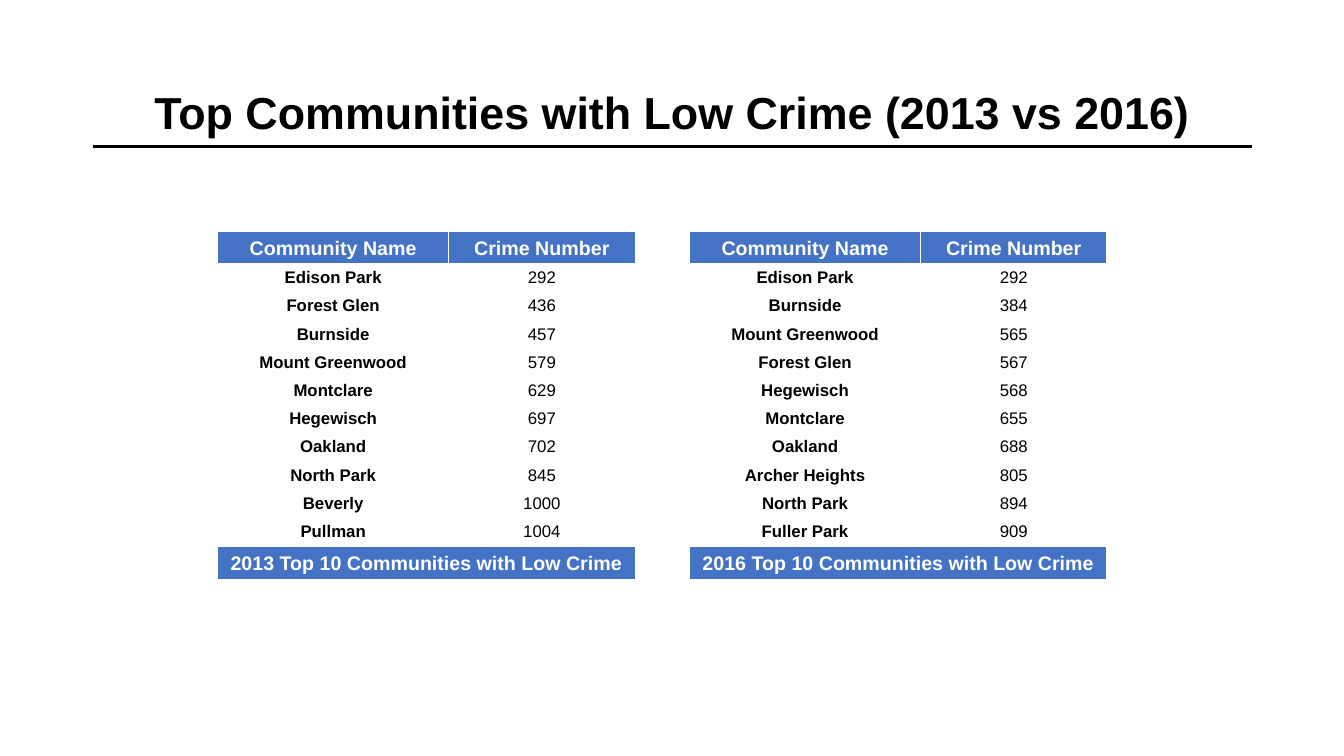
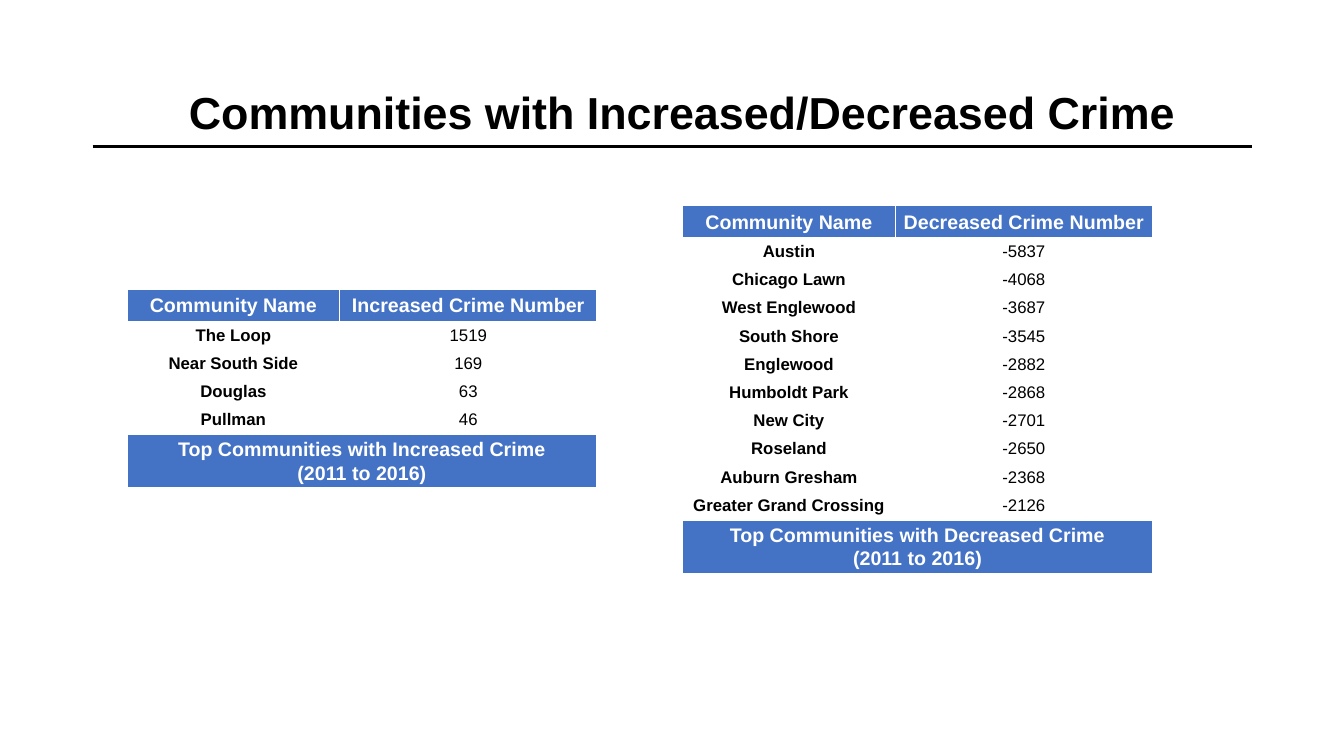
from lxml import etree
from pptx import Presentation
from pptx.dml.color import RGBColor
from pptx.enum.shapes import MSO_CONNECTOR
from pptx.enum.text import MSO_ANCHOR, PP_ALIGN
from pptx.oxml.ns import qn
from pptx.util import Inches, Pt

COLORS = {"header": "4472C4", "white": "FFFFFF", "black": "000000"}
FONT = "Arial"
HEADER_HEIGHT, ROW_HEIGHT = 0.32, 0.28
FOOTER_HEIGHTS = {1: 0.33, 2: 0.51}  # by number of lines
CELL_MARGIN = Inches(0.03)
RULE_LEFT, RULE_RIGHT, RULE_TOP = 0.92, 12.42, 1.45

SLIDES = [
    {
        "title": "Top Communities with Low Crime (2013 vs 2016)",
        "title_left": 0.92,
        "columns": (2.29, 1.85),
        "tables": [
            {
                "left": 2.16, "top": 2.3, "measure": "Crime Number",
                "footer": "2013 Top 10 Communities with Low Crime",
                "rows": [
                    ("Edison Park", 292), ("Forest Glen", 436), ("Burnside", 457),
                    ("Mount Greenwood", 579), ("Montclare", 629), ("Hegewisch", 697),
                    ("Oakland", 702), ("North Park", 845), ("Beverly", 1000),
                    ("Pullman", 1004),
                ],
            },
            {
                "left": 6.84, "top": 2.3, "measure": "Crime Number",
                "footer": "2016 Top 10 Communities with Low Crime",
                "rows": [
                    ("Edison Park", 292), ("Burnside", 384), ("Mount Greenwood", 565),
                    ("Forest Glen", 567), ("Hegewisch", 568), ("Montclare", 655),
                    ("Oakland", 688), ("Archer Heights", 805), ("North Park", 894),
                    ("Fuller Park", 909),
                ],
            },
        ],
    },
    {
        "title": "Communities with Increased/Decreased Crime",
        "title_left": 1.02,
        "columns": (2.11, 2.55),
        "tables": [
            {
                "left": 1.26, "top": 2.87, "measure": "Increased Crime Number",
                "footer": "Top Communities with Increased Crime\n(2011 to 2016)",
                "rows": [
                    ("The Loop", 1519), ("Near South Side", 169), ("Douglas", 63),
                    ("Pullman", 46),
                ],
            },
            {
                "left": 6.77, "top": 2.04, "measure": "Decreased Crime Number",
                "footer": "Top Communities with Decreased Crime\n(2011 to 2016)",
                "rows": [
                    ("Austin", -5837), ("Chicago Lawn", -4068),
                    ("West Englewood", -3687), ("South Shore", -3545),
                    ("Englewood", -2882), ("Humboldt Park", -2868),
                    ("New City", -2701), ("Roseland", -2650),
                    ("Auburn Gresham", -2368), ("Greater Grand Crossing", -2126),
                ],
            },
        ],
    },
]


def write_text(frame, text, *, size, color="black", bold=True, spacing=1.07):
    """Fill a text frame with centred text, one paragraph per line."""
    frame.text = text
    for para in frame.paragraphs:
        para.alignment = PP_ALIGN.CENTER
        para.line_spacing = spacing
        for span in para.runs:
            span.font.name = FONT
            span.font.size = Pt(size)
            span.font.bold = bold
            span.font.color.rgb = RGBColor.from_string(COLORS[color])


def style_cell(cell, fill, anchor):
    """Set margins, anchor, thin white borders and fill of a table cell."""
    cell.margin_left = cell.margin_right = CELL_MARGIN
    cell.margin_top = cell.margin_bottom = CELL_MARGIN
    cell.vertical_anchor = anchor
    properties = cell._tc.get_or_add_tcPr()
    for side in ("a:lnL", "a:lnR", "a:lnT", "a:lnB"):
        border = etree.SubElement(properties, qn(side), w=str(Pt(1)))
        solid = etree.SubElement(border, qn("a:solidFill"))
        etree.SubElement(solid, qn("a:srgbClr"), val=COLORS["white"])
    cell.fill.solid()
    cell.fill.fore_color.rgb = RGBColor.from_string(COLORS[fill])


deck = Presentation()
deck.slide_width, deck.slide_height = Inches(13.33), Inches(7.5)
blank_layout = deck.slide_layouts[6]

for content in SLIDES:
    page = deck.slides.add_slide(blank_layout)

    for data in content["tables"]:
        body, footer = data["rows"], data["footer"]
        footer_height = FOOTER_HEIGHTS[len(footer.splitlines())]
        heights = [HEADER_HEIGHT] + [ROW_HEIGHT] * len(body) + [footer_height]
        table = page.shapes.add_table(
            len(heights), 2, Inches(data["left"]), Inches(data["top"]),
            Inches(sum(content["columns"])), Inches(sum(heights)),
        ).table
        for column, width in zip(table.columns, content["columns"]):
            column.width = Inches(width)

        last = len(heights) - 1
        lines = [("Community Name", data["measure"]), *body, (footer, "")]
        for row, (height, line) in enumerate(zip(heights, lines)):
            table.rows[row].height = Inches(height)
            is_band = row in (0, last)
            for column, value in enumerate(line):
                cell = table.cell(row, column)
                if is_band:
                    style_cell(cell, "header", MSO_ANCHOR.MIDDLE)
                    write_text(cell.text_frame, value, size=14, color="white")
                else:
                    style_cell(cell, "white", MSO_ANCHOR.TOP)
                    write_text(cell.text_frame, str(value), size=12, bold=column == 0)
        table.cell(last, 0).merge(table.cell(last, 1))

    rule = page.shapes.add_connector(
        MSO_CONNECTOR.STRAIGHT, Inches(RULE_LEFT), Inches(RULE_TOP),
        Inches(RULE_RIGHT), Inches(RULE_TOP),
    )
    rule.line.color.rgb = RGBColor.from_string(COLORS["black"])
    rule.line.width = Pt(2.25)
    etree.SubElement(rule._element.spPr, qn("a:effectLst"))

    title_box = page.shapes.add_textbox(
        Inches(content["title_left"]), Inches(0.85), Inches(11.5), Inches(1.45)
    )
    title_box.text_frame.word_wrap = True
    write_text(title_box.text_frame, content["title"], size=32, spacing=0.9)

deck.save("out.pptx")
